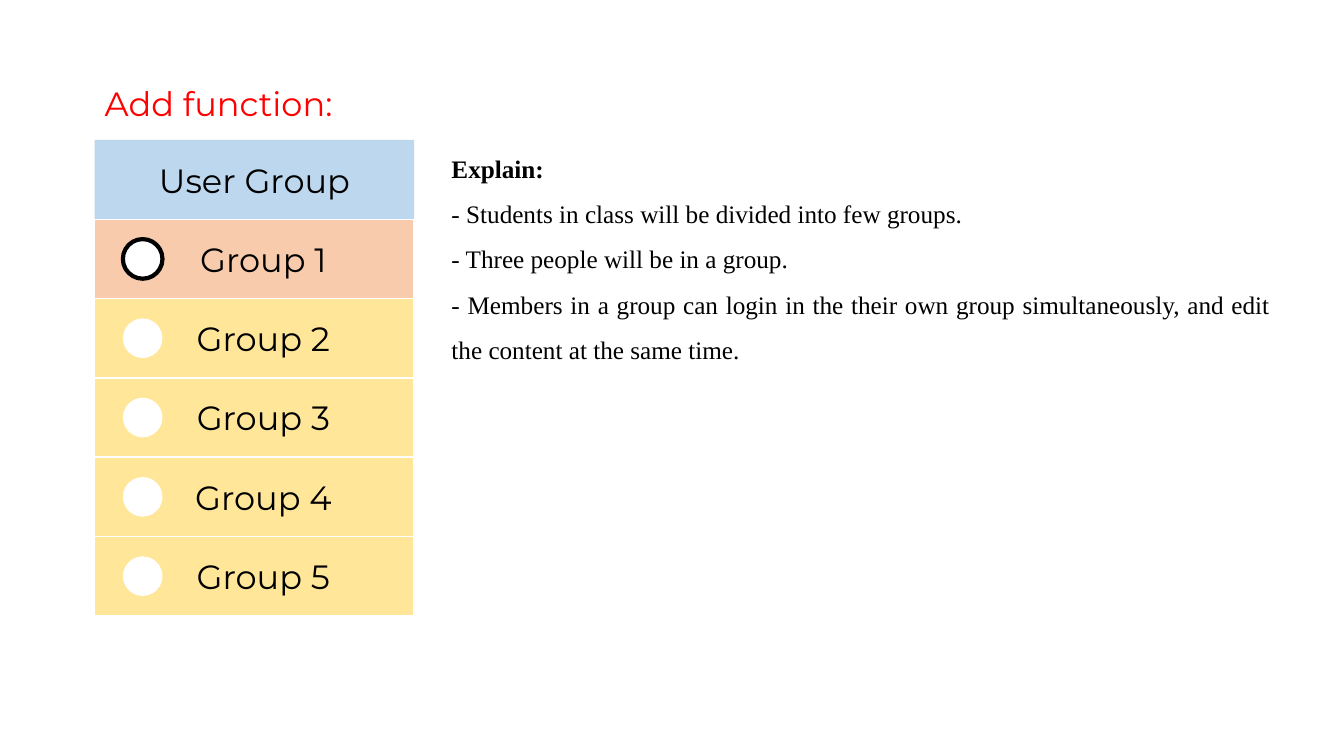
from dataclasses import dataclass

from pptx import Presentation
from pptx.dml.color import RGBColor
from pptx.enum.shapes import MSO_SHAPE
from pptx.enum.text import MSO_ANCHOR, MSO_AUTO_SIZE, PP_ALIGN
from pptx.shapes.autoshape import Shape
from pptx.slide import Slide
from pptx.text.text import TextFrame
from pptx.util import Pt

HEADING_FONT = "Montserrat"
BODY_FONT = "Times New Roman"
MENU_LEFT, MENU_TOP, MENU_WIDTH, ROW_HEIGHT = 67.7, 100, 228.2, 56.65
RADIO_LEFT, RADIO_SIZE = 87.8, 28.3


@dataclass
class Row:
    label: str
    fill: str
    has_radio: bool = True
    selected: bool = False


ROWS = [
    Row("User Group", "BDD7EE", has_radio=False),
    Row("Group 1", "F8CBAD", selected=True),
    *(Row(f"Group {number}", "FFE699") for number in range(2, 6)),
]
EXPLANATION = [
    "- Students in class will be divided into few groups.",
    "- Three people will be in a group.",
    "- Members in a group can login in the their own group simultaneously, "
    "and edit the content at the same time.",
]


def color(value: str) -> RGBColor:
    return RGBColor.from_string(value)


def write(frame: TextFrame, text: str, *, size: float = 24,
          font: str = HEADING_FONT, fill: str = "000000", bold: bool = False,
          align: PP_ALIGN = PP_ALIGN.LEFT, spacing: float = 1.0) -> None:
    first = frame.paragraphs[0]
    paragraph = frame.add_paragraph() if first.runs else first
    paragraph.alignment = align
    paragraph.line_spacing = spacing
    run = paragraph.add_run()
    run.text = text
    run.font.size = Pt(size)
    run.font.name = font
    run.font.bold = bold
    run.font.color.rgb = color(fill)


def draw_shape(slide: Slide, preset: MSO_SHAPE, left: float, top: float,
               width: float, height: float, fill: str,
               line: str | None = None, line_width: float = 1) -> Shape:
    shape = slide.shapes.add_shape(preset, Pt(left), Pt(top), Pt(width), Pt(height))
    shape.shadow.inherit = False
    shape.fill.solid()
    shape.fill.fore_color.rgb = color(fill)
    if line:
        shape.line.color.rgb = color(line)
        shape.line.width = Pt(line_width)
    else:
        shape.line.fill.background()
    return shape


def draw_row(slide: Slide, row: Row, top: float) -> None:
    bar = draw_shape(slide, MSO_SHAPE.RECTANGLE, MENU_LEFT, top, MENU_WIDTH,
                     ROW_HEIGHT, row.fill, "FFFFFF" if row.has_radio else None)
    frame = bar.text_frame
    frame.vertical_anchor = MSO_ANCHOR.MIDDLE
    if row.has_radio:
        frame.margin_left = Pt(19.8)
        draw_shape(slide, MSO_SHAPE.OVAL, RADIO_LEFT,
                   top + (ROW_HEIGHT - RADIO_SIZE) / 2, RADIO_SIZE, RADIO_SIZE,
                   "FFFFFF", "000000" if row.selected else None, 3)
    write(frame, row.label, align=PP_ALIGN.CENTER)


def add_text_area(slide: Slide, left: float, top: float,
                  width: float, height: float) -> TextFrame:
    area = slide.shapes.add_textbox(Pt(left), Pt(top), Pt(width), Pt(height))
    frame = area.text_frame
    frame.word_wrap = True
    frame.auto_size = MSO_AUTO_SIZE.SHAPE_TO_FIT_TEXT
    return frame


def main() -> None:
    presentation = Presentation()
    presentation.slide_width, presentation.slide_height = Pt(960), Pt(540)
    slide = presentation.slides.add_slide(presentation.slide_layouts[6])

    for index, row in enumerate(ROWS):
        draw_row(slide, row, MENU_TOP + index * ROW_HEIGHT)

    explanation = add_text_area(slide, 315.4, 105.8, 599, 203.8)
    write(explanation, "Explain:", size=18, font=BODY_FONT, bold=True,
          align=PP_ALIGN.JUSTIFY)
    for point in EXPLANATION:
        write(explanation, point, size=18, font=BODY_FONT,
              align=PP_ALIGN.JUSTIFY, spacing=1.5)

    title = add_text_area(slide, MENU_LEFT, 55.4, 198.7, 36)
    write(title, "Add function:", fill="FF0000")

    presentation.save("out.pptx")


if __name__ == "__main__":
    main()
